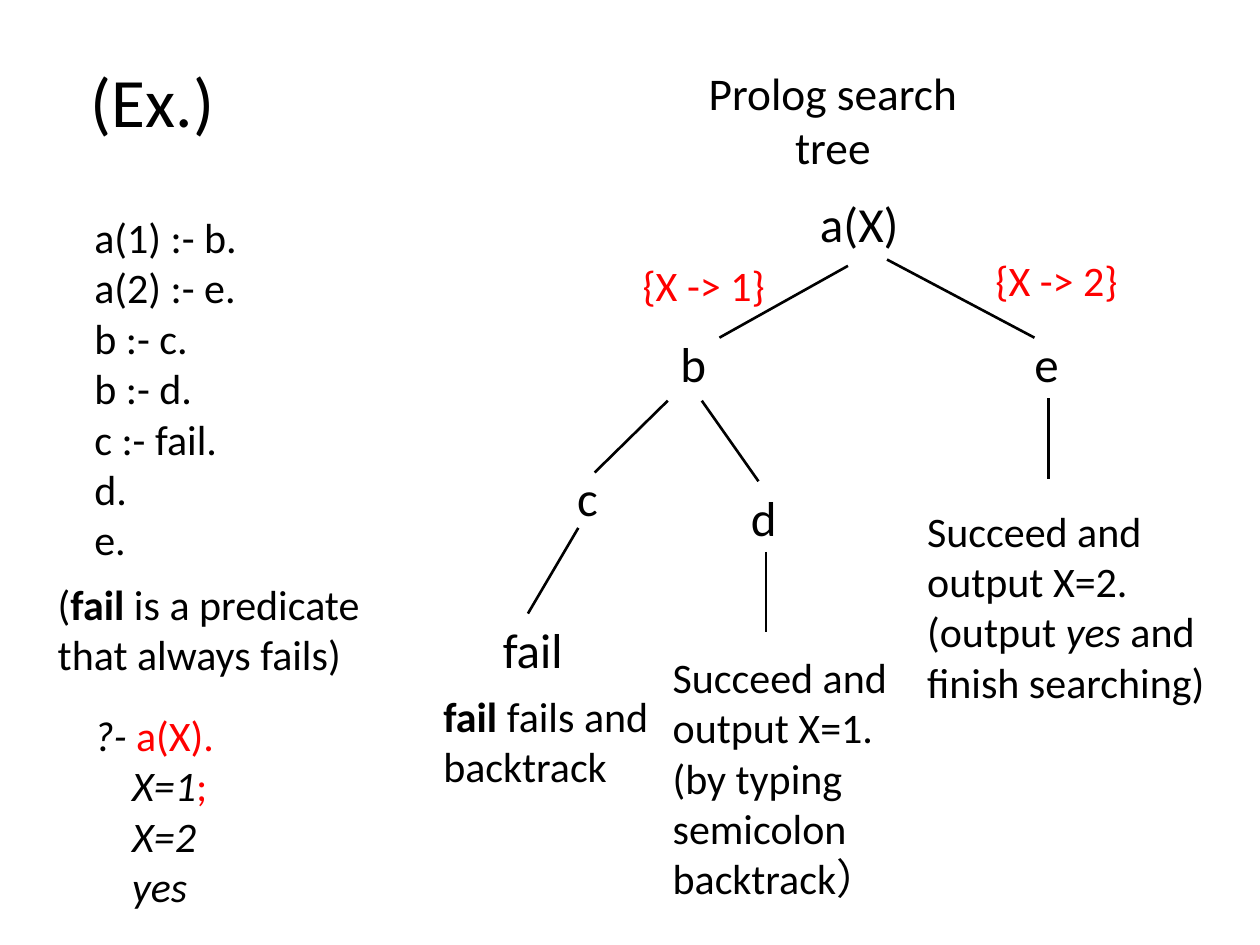
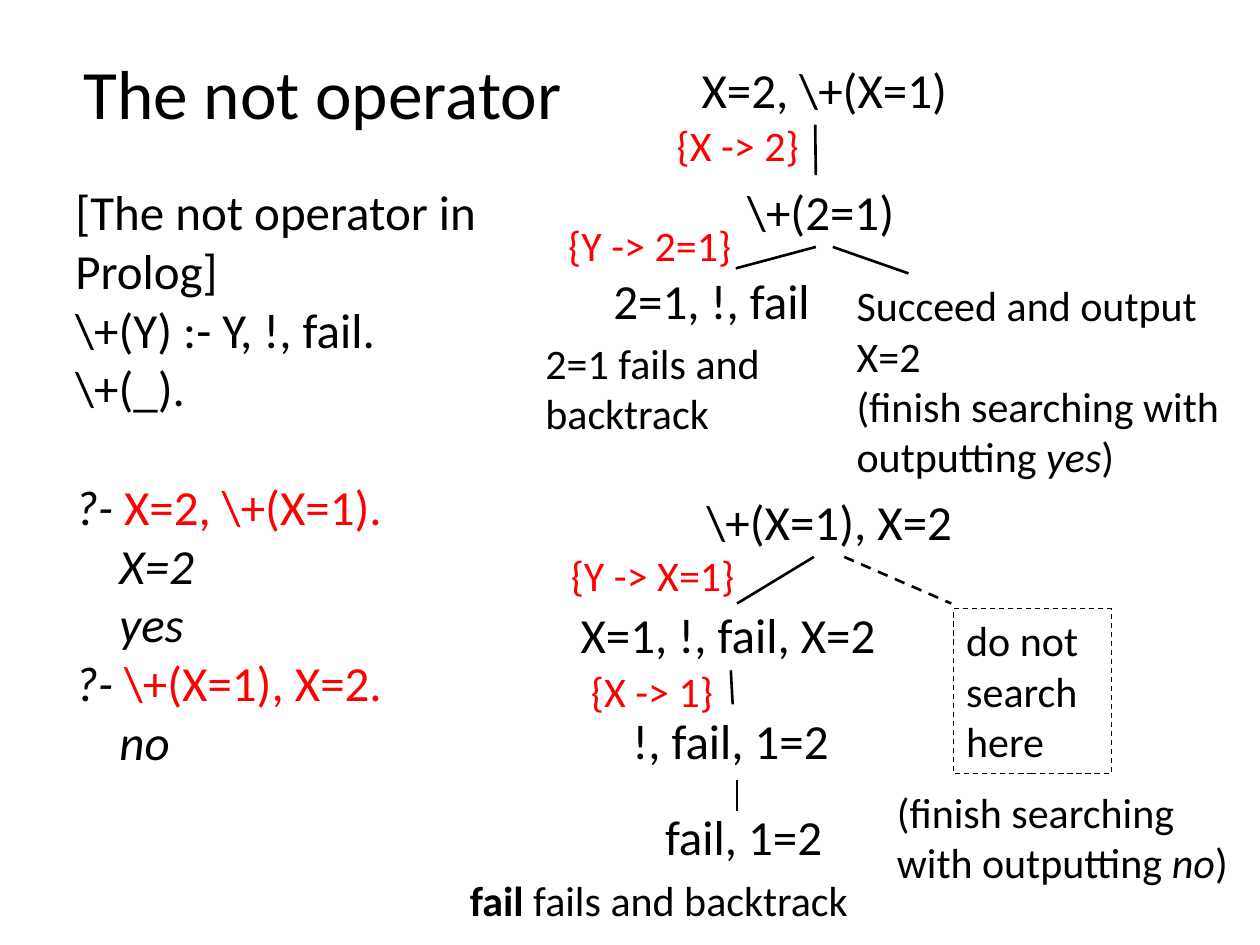
"""Build two slides on Prolog search trees and the not operator."""
import pptx
import pptx.dml.color
import pptx.enum.dml
import pptx.enum.shapes
import pptx.enum.text
import pptx.oxml.ns
import pptx.util
from lxml import etree

PX = 9144
FONT = "Calibri"
BLACK = pptx.dml.color.RGBColor(0x00, 0x00, 0x00)
RED = pptx.dml.color.RGBColor(0xFF, 0x00, 0x00)
CENTER = pptx.enum.text.PP_ALIGN.CENTER
LEFT = pptx.enum.text.PP_ALIGN.LEFT
MIDDLE = pptx.enum.text.MSO_ANCHOR.MIDDLE
TOP = pptx.enum.text.MSO_ANCHOR.TOP

TITLE_SIZE, HEADING_SIZE, NODE_SIZE, NOTE_SIZE = 39.6, 25.9, 28, 24
NODE_HEIGHT, BINDING_HEIGHT = 57, 50
BINDING_INSET = 18
STYLES = {
    "plain": {},
    "bold": {"bold": True},
    "italic": {"italic": True},
    "red": {"color": RED},
}

# Notes: place, size, paragraphs. Nodes: text, left, top, width, left inset.
SLIDES = [
    {
        "title": ("(Ex.)", (58, 26, 126, 107)),
        "heading": ("Prolog search tree", (520, 52, 282, 85)),
        "notes": [
            ((65, 163, 135, 293), NOTE_SIZE,
             ["a(1) :- b.", "a(2) :- e.", "b :- c.", "b :- d.", "c :- fail.", "d.", "e."]),
            ((65, 558, 119, 172), NOTE_SIZE, [
                [("?- ", "italic"), ("a(X).", "red")],
                {"indent": 30, "spans": [("X=1", "italic"), (";", "red")]},
                {"indent": 30, "spans": [("X=2", "italic")]},
                {"indent": 30, "spans": [("yes", "italic")]},
            ]),
            ((36, 454, 271, 91), NOTE_SIZE,
             [["(", ("fail ", "bold"), "is a predicate that always fails)"]]),
            ((342, 543, 186, 91), NOTE_SIZE, [[("fail ", "bold"), "fails and"], "backtrack"]),
            ((524, 512, 224, 212), NOTE_SIZE,
             ["Succeed and", "output X=1.", "(by typing semicolon", "backtrack）"]),
            ((726, 396, 252, 172), NOTE_SIZE,
             ["Succeed and output X=2.",
              ["(output ", ("yes", "italic"), " and finish searching)"]]),
        ],
        "nodes": [
            ("a(X)", 641, 149, 83, 10),
            ("b", 521, 260, 50, 19),
            ("c", 439, 366, 46, 19),
            ("fail", 380, 487, 78, 19),
            ("d", 577, 382, 50, 19),
            ("e", 802, 260, 50, 19),
        ],
        "bindings": [("{X -> 1}", 492, 201, 127), ("{X -> 2}", 772, 197, 127)],
        "branches": [
            (673, 211, 571, 268), (530, 318, 472, 375), (459, 419, 419, 487),
            (557, 318, 602, 382), (608, 438, 608, 502), (704, 206, 821, 268),
            (832, 316, 832, 380),
        ],
    },
    {
        "title": ("The not operator", (35, 30, 442, 86)),
        "notes": [
            ((50, 139, 350, 481), NODE_SIZE, [
                "[The not operator in Prolog]",
                r"\+(Y) :- Y, !, fail.",
                r"\+(_).",
                {"before": 34, "spans": [("?- ", "italic"), (r"X=2, \+(X=1).", "red")]},
                {"indent": 35, "spans": [("X=2", "italic")]},
                {"indent": 35, "spans": [("yes", "italic")]},
                [("?- ", "italic"), (r"\+(X=1), X=2.", "red")],
                {"indent": 35, "spans": [("no", "italic")]},
            ]),
            ((423, 263, 208, 91), NOTE_SIZE, ["2=1 fails and backtrack"]),
            ((670, 217, 330, 172), NOTE_SIZE,
             ["Succeed and output X=2",
              ["(finish searching with outputting ", ("yes", "italic"), ")"]]),
            ((363, 689, 339, 50), NOTE_SIZE, [[("fail", "bold"), " fails and backtrack"]]),
            ((702, 619, 304, 91), NOTE_SIZE,
             [["(finish searching with outputting ", ("no", "italic"), ")"]]),
        ],
        "nodes": [
            (r"X=2, \+(X=1)", 547, 42, 217, 10),
            (r"\+(2=1)", 574, 139, 147, 19),
            ("2=1, !, fail", 477, 210, 179, 10),
            (r"\+(X=1), X=2", 551, 385, 217, 10),
            ("X=1, !, fail, X=2", 451, 475, 258, 10),
            ("!, fail, 1=2", 492, 559, 179, 10),
            ("fail, 1=2", 518, 635, 147, 10),
        ],
        "bindings": [
            ("{X -> 2}", 519, 90, 127), ("{Y -> 2=1}", 433, 169, 159),
            ("{Y -> X=1}", 435, 431, 159), ("{X -> 1}", 451, 523, 127),
        ],
        "branches": [
            (647, 99, 647, 139), (647, 196, 584, 213), (661, 196, 721, 217),
            (646, 442, 585, 479), (580, 532, 581, 559), (585, 619, 585, 644),
        ],
        "pruned": {
            "branch": (670, 442, 755, 479),
            "box": ("do not search here", (757, 483, 125, 131)),
        },
    },
]


def scaled(*lengths):
    return [length * PX for length in lengths]


def assign(target, values):
    for name, value in values.items():
        setattr(target, name, value)


def write(shape, paragraphs, size, color=BLACK, align=LEFT, anchor=TOP, wrap=True, inset=10):
    frame = shape.text_frame
    assign(frame, {
        "word_wrap": wrap, "vertical_anchor": anchor, "margin_left": inset * PX,
        "auto_size": pptx.enum.text.MSO_AUTO_SIZE.NONE,
    })
    for index, content in enumerate(paragraphs):
        para = frame.add_paragraph() if index else frame.paragraphs[0]
        para.alignment = align
        options = content if isinstance(content, dict) else {"spans": content}
        if "indent" in options:
            para._p.get_or_add_pPr().set("marL", str(options["indent"] * PX))
        if "before" in options:
            para.space_before = pptx.util.Pt(options["before"])
        spans = options["spans"]
        for item in [spans] if isinstance(spans, str) else spans:
            text, style = (item, "plain") if isinstance(item, str) else item
            span = para.add_run()
            span.text = text
            look = {"bold": False, "italic": False, "color": color, **STYLES[style]}
            span.font.color.rgb = look.pop("color")
            assign(span.font, {"name": FONT, "size": pptx.util.Pt(size), **look})


def add_text(page, place, paragraphs, size, **options):
    box = page.shapes.add_textbox(*scaled(*place))
    write(box, paragraphs, size, **options)
    return box


def side_at(nodes, x, y):
    """Find the node and site whose side middle lies at a point."""
    for node in nodes:
        for site, edge in ((0, node.top), (2, node.top + node.height)):
            if max(abs(node.left + node.width / 2 - x * PX), abs(edge - y * PX)) <= PX:
                return node, site
    return None


def set_line(line, width, dashed):
    line.color.rgb = BLACK
    line.width = pptx.util.Pt(width)
    if dashed:
        line.dash_style = pptx.enum.dml.MSO_LINE.DASH


def add_branch(page, ends, nodes, dashed=False):
    straight = pptx.enum.shapes.MSO_CONNECTOR.STRAIGHT
    branch = page.shapes.add_connector(straight, *scaled(*ends))
    set_line(branch.line, 1.5, dashed)
    etree.SubElement(branch._element.spPr, pptx.oxml.ns.qn("a:effectLst"))
    for point, join in ((ends[:2], branch.begin_connect), (ends[2:], branch.end_connect)):
        target = side_at(nodes, *point)
        if target:
            join(*target)


def add_pruned(page, pruned, nodes):
    add_branch(page, pruned["branch"], nodes, dashed=True)
    text, place = pruned["box"]
    box = page.shapes.add_shape(pptx.enum.shapes.MSO_SHAPE.RECTANGLE, *scaled(*place))
    box.shadow.inherit = False
    box.fill.background()
    set_line(box.line, 0.75, True)
    write(box, [text], NOTE_SIZE)


def build_page(deck, content):
    page = deck.slides.add_slide(deck.slide_layouts[5])
    title, place = content["title"]
    assign(page.shapes.title, dict(zip(("left", "top", "width", "height"), scaled(*place))))
    write(page.shapes.title, [title], TITLE_SIZE, align=CENTER, anchor=MIDDLE)
    if "heading" in content:
        heading, place = content["heading"]
        add_text(page, place, [heading], HEADING_SIZE, align=CENTER, anchor=MIDDLE)
    for place, size, paragraphs in content["notes"]:
        add_text(page, place, paragraphs, size)
    nodes = [
        add_text(page, (left, top, width, NODE_HEIGHT), [text], NODE_SIZE, wrap=False, inset=inset)
        for text, left, top, width, inset in content["nodes"]
    ]
    for text, left, top, width in content["bindings"]:
        add_text(page, (left, top, width, BINDING_HEIGHT), [text], NOTE_SIZE,
                 color=RED, wrap=False, inset=BINDING_INSET)
    for ends in content["branches"]:
        add_branch(page, ends, nodes)
    if "pruned" in content:
        add_pruned(page, content["pruned"], nodes)


def main():
    deck = pptx.Presentation()
    deck.slide_width, deck.slide_height = scaled(1000, 750)
    for content in SLIDES:
        build_page(deck, content)
    deck.save("out.pptx")


if __name__ == "__main__":
    main()
